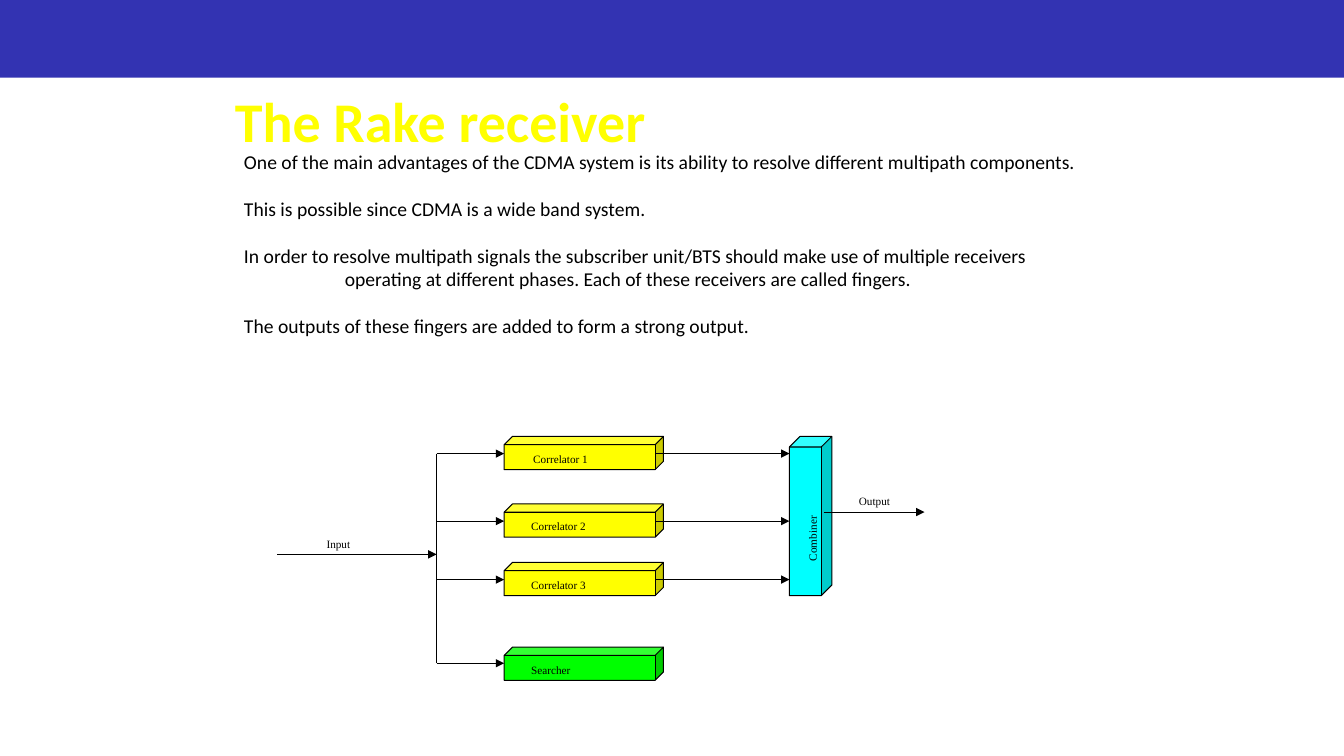
from pptx import Presentation
from pptx.dml.color import RGBColor
from pptx.enum import shapes, text
from pptx.oxml.ns import qn
from pptx.util import Inches, Pt
from lxml import etree

BLACK = RGBColor(0, 0, 0)
YELLOW = RGBColor(0xFF, 0xFF, 0)
GREEN = RGBColor(0, 0xFF, 0)
CYAN = RGBColor(0, 0xFF, 0xFF)
BANNER_BLUE = RGBColor(0x33, 0x33, 0xB2)

prs = Presentation()
prs.slide_width = Inches(13.33)
prs.slide_height = Inches(7.5)
slide = prs.slides.add_slide(prs.slide_layouts[6])


def add_text(lines, left, top, width, height, size, font, color=BLACK, bold=False):
    box = slide.shapes.add_textbox(Inches(left), Inches(top), Inches(width), Inches(height))
    frame = box.text_frame
    frame.word_wrap = True
    frame.margin_left = frame.margin_right = frame.margin_top = frame.margin_bottom = 0
    frame.text = "\n".join(lines)
    for paragraph in frame.paragraphs:
        paragraph.font.size = Pt(size)
        paragraph.font.name = font
        paragraph.font.bold = bold
        paragraph.font.color.rgb = color
    return box


def add_line(x1, y1, x2, y2, arrow=True):
    line = slide.shapes.add_connector(
        shapes.MSO_CONNECTOR.STRAIGHT, Inches(x1), Inches(y1), Inches(x2), Inches(y2))
    line.line.color.rgb = BLACK
    line.line.width = Pt(0.75)
    if arrow:
        etree.SubElement(line.line._get_or_add_ln(), qn("a:tailEnd"), type="triangle")
    etree.SubElement(line._element.spPr, qn("a:effectLst"))


banner = slide.shapes.add_shape(
    shapes.MSO_SHAPE.RECTANGLE, 0, 0, prs.slide_width, Inches(0.77))
banner.shadow.inherit = False
banner.fill.solid()
banner.fill.fore_color.rgb = BANNER_BLUE
banner.line.fill.background()

add_text(["The Rake receiver"], 2.33, 0.86, 8.5, 0.67, 40, "Calibri", YELLOW, True)

statements = [
    "One of the main advantages of the CDMA system is its ability to resolve different multipath components.",
    "This is possible since CDMA is a wide band system.",
    "In order to resolve multipath signals the subscriber unit/BTS should make use of multiple receivers"
    "\voperating at different phases. Each of these receivers are called fingers.",
    "The outputs of these fingers are added to form a strong output.",
]
body = add_text(statements, 2.42, 1.49, 8.5, 2.22, 14, "Calibri")
for paragraph in body.text_frame.paragraphs[1:]:
    paragraph.space_before = Pt(16.5)
hanging = body.text_frame.paragraphs[2]._p.get_or_add_pPr()
hanging.set("marL", str(Inches(1)))
hanging.set("indent", str(-Inches(1)))

blocks = [
    (5, 4.33, 1.58, 0.33, YELLOW),
    (5, 5, 1.58, 0.33, YELLOW),
    (5, 5.58, 1.58, 0.33, YELLOW),
    (5, 6.42, 1.58, 0.33, GREEN),
    (7.83, 4.33, 0.42, 1.58, CYAN),
]
for left, top, width, height, color in blocks:
    block = slide.shapes.add_shape(
        shapes.MSO_SHAPE.CUBE, Inches(left), Inches(top), Inches(width), Inches(height))
    block.adjustments[0] = 0.25
    block.shadow.inherit = False
    block.fill.solid()
    block.fill.fore_color.rgb = color
    block.line.color.rgb = BLACK
    block.line.width = Pt(0.75)

finger_rows = [4.5, 5.17, 5.75]
searcher_row = 6.58
for row in finger_rows:
    add_line(6.5, row, 7.83, row)
for row in finger_rows + [searcher_row]:
    add_line(4.33, row, 5, row)
add_line(4.33, finger_rows[0], 4.33, searcher_row, arrow=False)
add_line(8.17, 5.08, 9.17, 5.08)
add_line(2.75, 5.5, 4.33, 5.5)

labels = [
    ("Correlator 1", 5.19, 4.33, 1.15, 0),
    ("Correlator 2", 5.17, 5, 1.15, 0),
    ("Correlator 3", 5.17, 5.58, 1.15, 0),
    ("Searcher", 5.17, 6.42, 0.88, 0),
    ("Combiner", 7.51, 5.01, 0.98, 270),
    ("Input", 3.14, 5.17, 0.61, 0),
    ("Output", 8.42, 4.75, 0.74, 0),
]
for label, left, top, width, rotation in labels:
    box = add_text([label], left, top, width, 0.33, 8, "Times New Roman")
    box.rotation = rotation
    box.text_frame.margin_left = Inches(0.1)
    box.text_frame.margin_bottom = Inches(0.04)
    box.text_frame.vertical_anchor = text.MSO_ANCHOR.BOTTOM

prs.save("out.pptx")
